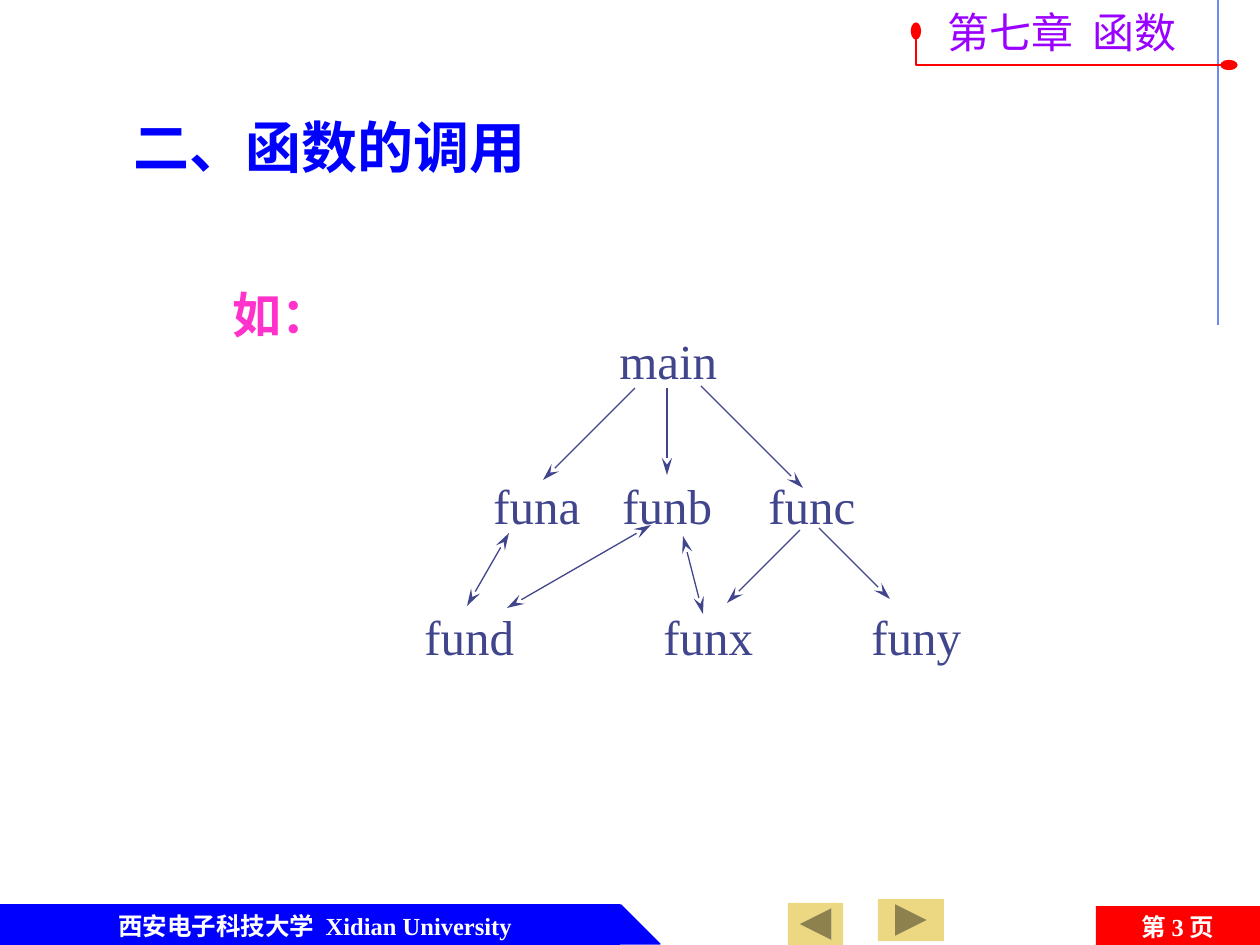
from lxml.etree import SubElement
from pptx import Presentation
from pptx.dml.color import RGBColor
from pptx.enum.shapes import MSO_CONNECTOR, MSO_SHAPE
from pptx.enum.text import MSO_ANCHOR, PP_ALIGN
from pptx.oxml.ns import qn
from pptx.util import Emu, Pt

EMU_PER_PX = 914400 / 126
LATIN, CHINESE = "Times New Roman", "Noto Sans CJK SC"
COLORS = {
    "blue": "0000FF", "red": "FF0000", "white": "FFFFFF", "pink": "FF33CC",
    "purple": "9900FF", "navy": "40458C", "sky": "6F89F7", "gold": "ECD882",
}


def px(value):
    return Emu(round(value * EMU_PER_PX))


def color(name):
    return RGBColor.from_string(COLORS[name])


class SlideBuilder:
    """Holds the shared style and the slide being built."""

    def __init__(self, slide):
        self.slide = slide

    def fill_text(self, shape, runs, size, ink, bold=False, align=PP_ALIGN.LEFT,
                  wrap=True, anchor=MSO_ANCHOR.TOP):
        frame = shape.text_frame
        frame.word_wrap = wrap
        frame.vertical_anchor = anchor
        paragraph = frame.paragraphs[0]
        paragraph.alignment = align
        paragraph.space_before = Pt(0)
        paragraph.line_spacing = 1.0
        for text, font_name in runs:
            run = paragraph.add_run()
            run.text = text
            run.font.size = Pt(size)
            run.font.bold = bold
            run.font.color.rgb = color(ink)
            run.font.name = font_name
            SubElement(run._r.get_or_add_rPr(), qn("a:ea"), typeface=CHINESE)

    def title(self, box, text, size, ink):
        shape = self.slide.shapes.title
        shape.left, shape.top, shape.width, shape.height = map(px, box)
        self.fill_text(shape, [(text, LATIN)], size, ink, bold=True)

    def text(self, box, text, size, ink, font_name=LATIN, **options):
        shape = self.slide.shapes.add_textbox(*map(px, box))
        self.fill_text(shape, [(text, font_name)], size, ink, **options)

    def shape(self, kind, box, fill, outlined=False):
        shape = self.slide.shapes.add_shape(kind, *map(px, box))
        shape.shadow.inherit = False
        shape.fill.solid()
        shape.fill.fore_color.rgb = color(fill)
        if outlined:
            self.outline(shape, fill, 0.75)
        else:
            shape.line.fill.background()
        return shape

    def outline(self, shape, ink, width, head=None, tail=None):
        shape.line.color.rgb = color(ink)
        shape.line.width = Pt(width)
        line_properties = shape._element.spPr.get_or_add_ln()
        for tag, kind in (("a:headEnd", head), ("a:tailEnd", tail)):
            if kind:
                SubElement(line_properties, qn(tag), type=kind, w="med", len="lg")

    def line(self, points, ink, width=0.75, head=None, tail=None):
        connector = self.slide.shapes.add_connector(
            MSO_CONNECTOR.STRAIGHT, *map(px, points))
        self.outline(connector, ink, width, head, tail)
        SubElement(connector._element.spPr, qn("a:effectLst"))

    def polyline(self, points, ink, width, head, tail):
        builder = self.slide.shapes.build_freeform(*points[0], scale=EMU_PER_PX)
        builder.add_line_segments(points[1:], close=False)
        shape = builder.convert_to_shape()
        shape.shadow.inherit = False
        shape.fill.background()
        self.outline(shape, ink, width, head, tail)


def main():
    presentation = Presentation()
    presentation.slide_width, presentation.slide_height = px(1260), px(945)
    builder = SlideBuilder(presentation.slides.add_slide(presentation.slide_layouts[5]))

    # Right margin rule
    builder.line((1218, 0, 1218, 325), "sky")

    # Footer: university banner and page number
    builder.shape(MSO_SHAPE.RECTANGLE, (0, 905, 620, 39), "blue", outlined=True)
    builder.shape(MSO_SHAPE.RIGHT_TRIANGLE, (621, 905, 39, 39), "blue", outlined=True)
    builder.text((36, 905, 558, 39), "西安电子科技大学  Xidian University", 14, "white",
                 bold=True, align=PP_ALIGN.CENTER)
    page = builder.shape(MSO_SHAPE.RECTANGLE, (1096, 906, 164, 41), "red")
    builder.fill_text(page, [("第 ", CHINESE), ("3 ", LATIN), ("页", CHINESE)], 14, "white",
                      bold=True, align=PP_ALIGN.CENTER, anchor=MSO_ANCHOR.MIDDLE)

    # Navigation buttons
    button = MSO_SHAPE.ACTION_BUTTON_FORWARD_OR_NEXT
    builder.shape(button, (878, 899, 66, 42), "gold")
    builder.shape(button, (788, 903, 55, 42), "gold").rotation = 180

    # Heading and lead-in
    builder.title((121, 106, 625, 79), "二、函数的调用", 32, "blue")
    builder.text((220, 278, 141, 72), "如：", 28, "pink", bold=True)

    # Call tree: rows of function names
    rows = {
        324: [("main", 607, 123)],
        469: [("funa", 481, 112), ("funb", 610, 115), ("func", 756, 112)],
        600: [("fund", 412, 115), ("funx", 651, 115), ("funy", 859, 115)],
    }
    for top, functions in rows.items():
        for name, left, width in functions:
            builder.text((left, top, width, 72), name, 28, "navy", wrap=False)

    # Call tree: one-way calls, then mutual calls
    calls = [
        (667, 388, 667, 475), (701, 386, 803, 488), (635, 388, 543, 480),
        (800, 530, 727, 603), (819, 528, 890, 599),
    ]
    mutual_calls = [(509, 533, 467, 606), (651, 525, 507, 608), (683, 536, 703, 614)]
    for points in calls:
        builder.line(points, "navy", tail="stealth")
    for points in mutual_calls:
        builder.line(points, "navy", head="stealth", tail="stealth")

    # Chapter label with its corner rule
    builder.text((935, 0, 277, 63), "第七章  函数", 24, "purple", CHINESE, wrap=False)
    builder.polyline([(916, 31), (916, 65), (1229, 65)], "red", 1.5, "oval", "oval")

    presentation.save("out.pptx")


if __name__ == "__main__":
    main()
